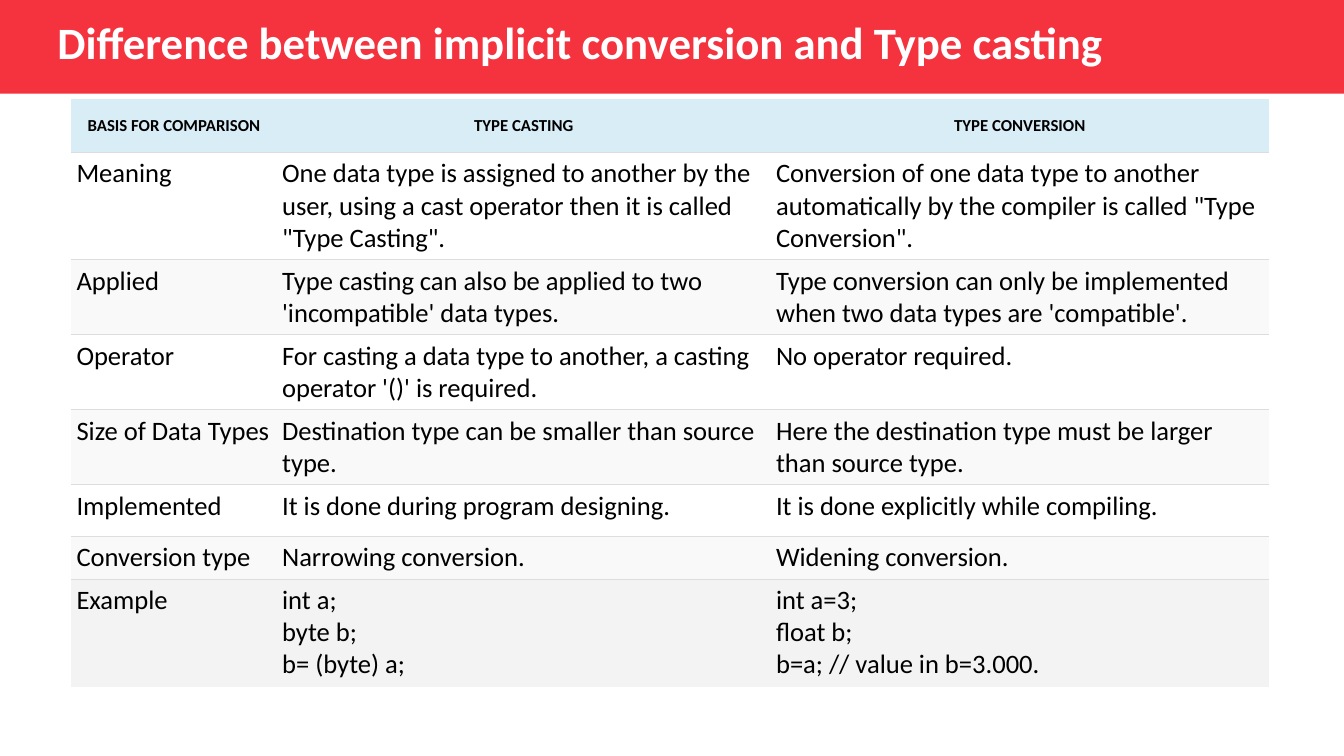
from lxml import etree
from pptx import Presentation, util as u
from pptx.dml.color import RGBColor
from pptx.enum import shapes, text
from pptx.oxml.ns import qn

FONT = "Calibri"
BORDER = "DDDDDD"
COLUMNS = [146.9, 352.8, 355.7]
HEIGHTS = [38.2, 74.9, 52.6, 52.6, 52.6, 36.7, 30.2, 77]
FILLS = ["D9EDF7"] + ["FFFFFF", "F9F9F9"] * 3 + ["F3F3F3"]
ROWS = [
    ["BASIS FOR COMPARISON", "TYPE CASTING", "TYPE CONVERSION"],
    ["Meaning",
     "One data type is assigned to another by the user, using a cast operator then it is called \"Type Casting\".",
     "Conversion of one data type to another automatically by the compiler is called \"Type Conversion\"."],
    ["Applied",
     "Type casting can also be applied to two 'incompatible' data types.",
     "Type conversion can only be implemented when two data types are 'compatible'."],
    ["Operator",
     "For casting a data type to another, a casting operator '()' is required.",
     "No operator required."],
    ["Size of Data Types",
     "Destination type can be smaller than source type.",
     "Here the destination type must be larger than source type."],
    ["Implemented", "It is done during program designing.", "It is done explicitly while compiling."],
    ["Conversion type", "Narrowing conversion.", "Widening conversion."],
    ["Example", "int a;\nbyte b;\nb= (byte) a;", "int a=3;\nfloat b;\nb=a; // value in b=3.000."],
]


def color(value):
    return RGBColor.from_string(value)


def apply(target, values):
    for name, value in values.items():
        setattr(target, name, value)


def paint(target, value):
    target.fill.solid()
    target.fill.fore_color.rgb = color(value)


def write(para, words, align, size, bold, shade):
    para.text = words
    para.alignment = align
    for span in para.runs:
        apply(span.font, {"name": FONT, "size": u.Pt(size), "bold": bold})
        span.font.color.rgb = color(shade)


def add_band(page, width, height, shade):
    band = page.shapes.add_shape(shapes.MSO_SHAPE.RECTANGLE, 0, 0, width, height)
    band.shadow.inherit = False
    band.line.fill.background()
    paint(band, shade)
    page.shapes._spTree.insert(2, band._element)


def add_title(page, words):
    title = page.shapes.title
    apply(title, {"left": u.Pt(41), "top": u.Pt(9.4), "width": u.Pt(885), "height": u.Pt(41)})
    apply(title.text_frame, {
        "margin_left": 0, "margin_right": 0, "margin_top": u.Pt(1.4), "margin_bottom": 0,
        "vertical_anchor": text.MSO_ANCHOR.TOP, "auto_size": text.MSO_AUTO_SIZE.NONE,
        "word_wrap": True})
    write(title.text_frame.paragraphs[0], words, text.PP_ALIGN.LEFT, 32, True, "FFFFFF")


def add_borders(cell, sides):
    properties = cell._tc.get_or_add_tcPr()
    for side in "LRTB":
        line = etree.SubElement(properties, qn(f"a:ln{side}"))
        if side in sides:
            line.set("w", str(u.Pt(0.75)))
            fill = etree.SubElement(line, qn("a:solidFill"))
            etree.SubElement(fill, qn("a:srgbClr"), val=BORDER)
        else:
            line.set("w", "0")
            etree.SubElement(line, qn("a:noFill"))


def fill_cell(cell, words, row):
    header = row == 0
    sides = "B" if header else "T" if row == len(ROWS) - 1 else "TB"
    add_borders(cell, sides)
    paint(cell, FILLS[row])
    apply(cell, {f"margin_{side}": u.Pt(3.75) for side in ("left", "right", "top", "bottom")})
    cell.vertical_anchor = text.MSO_ANCHOR.MIDDLE if header else text.MSO_ANCHOR.TOP
    align = text.PP_ALIGN.CENTER if header else text.PP_ALIGN.LEFT
    write(cell.text_frame.paragraphs[0], words, align, 12 if header else 19, header, "000000")


def add_comparison(page):
    frame = page.shapes.add_table(len(ROWS), len(COLUMNS), u.Pt(50.9), u.Pt(70.7),
                                  u.Pt(sum(COLUMNS)), u.Pt(sum(HEIGHTS)))
    table = frame.table
    apply(table, {"first_row": False, "horz_banding": False})
    for column, width in zip(table.columns, COLUMNS):
        column.width = u.Pt(width)
    for index, (row, height) in enumerate(zip(table.rows, HEIGHTS)):
        row.height = u.Pt(height)
        for cell, words in zip(row.cells, ROWS[index]):
            fill_cell(cell, words, index)


def main():
    deck = Presentation()
    apply(deck, {"slide_width": u.Pt(960), "slide_height": u.Pt(540)})
    page = deck.slides.add_slide(deck.slide_layouts[5])
    add_band(page, deck.slide_width, u.Pt(67), "F4333F")
    add_title(page, "Difference between implicit conversion and Type casting")
    add_comparison(page)
    deck.save("out.pptx")


if __name__ == "__main__":
    main()
